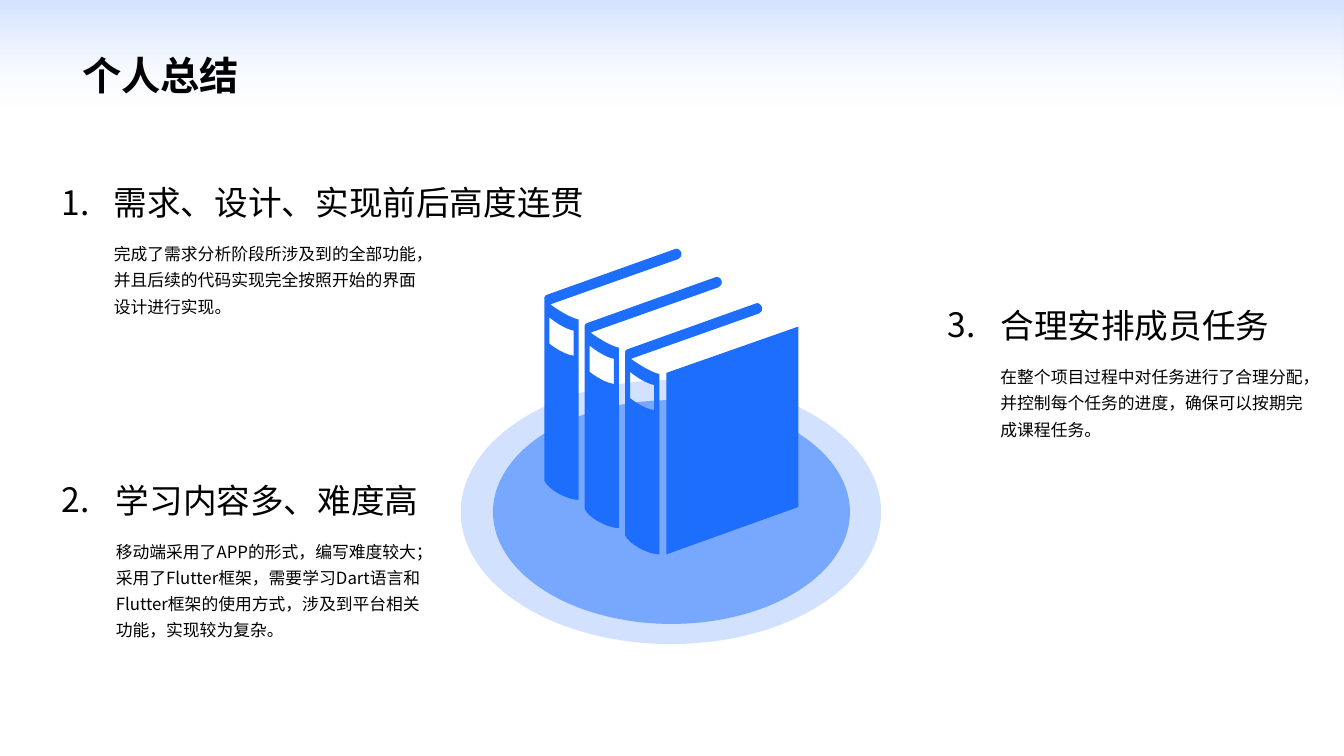
"""Build the personal summary slide with three points around a stack of books."""
import lxml.etree
import pptx
import pptx.dml.color
import pptx.enum.shapes
import pptx.enum.text
import pptx.oxml.ns
import pptx.util

RGB = pptx.dml.color.RGBColor
WHITE = RGB(0xFF, 0xFF, 0xFF)
BLACK = RGB(0x00, 0x00, 0x00)
PALE = RGB(0xD2, 0xE2, 0xFE)
SKY = RGB(0x77, 0xA8, 0xFD)
BLUE = RGB(0x1D, 0x6E, 0xFC)

FONT = "Noto Sans CJK JP"
WIDTH = pptx.util.Inches(13.33)
HEIGHT = pptx.util.Inches(7.5)
UNIT = pptx.util.Inches(0.01)

SHAPE = pptx.enum.shapes.MSO_SHAPE
ANCHOR = pptx.enum.text.MSO_ANCHOR
GROW = pptx.enum.text.MSO_AUTO_SIZE.SHAPE_TO_FIT_TEXT

POINTS = [
    ("1.", 4.58, 7.73, 23.47, "需求、设计、实现前后高度连贯",
     "完成了需求分析阶段所涉及到的全部功能，并且后续的代码实现完全按照开始的界面设计进行实现。"),
    ("2.", 4.58, 7.88, 62.8, "学习内容多、难度高",
     "移动端采用了APP的形式，编写难度较大；采用了Flutter框架，需要学习Dart语言"
     "和Flutter框架的使用方式，涉及到平台相关功能，实现较为复杂。"),
    ("3.", 70.52, 73.7, 39.73, "合理安排成员任务",
     "在整个项目过程中对任务进行了合理分配，并控制每个任务的进度，确保可以按期完成课程任务。"),
]

SPINE = [
    (136, 5), (135, 2, 132, 0, 130, 1), (4, 46), (2, 46, 0, 48, 0, 49),
    (0, 231), (4, 240, 23, 250, 34, 250), (34, 71),
    (28, 70, 15, 63, 6, 56), (133, 11), (135, 10, 137, 7, 136, 5),
]
LABEL = [
    (29, 82), (29, 107), (17, 105, 5, 95, 5, 95), (5, 69),
    (20, 81, 29, 82, 29, 82),
]
COVER = [(121, 124), (121, 304), (252, 257), (252, 78)]
BOOKS = [(0, 0), (40, 28), (80, 54)]


def place(left, top, width, height):
    """Turn shares of the slide, in percent, into lengths."""
    sides = (WIDTH, HEIGHT, WIDTH, HEIGHT)
    return [int(share * side / 100)
            for share, side in zip((left, top, width, height), sides)]


def fade(fill, stops):
    """Fill with a gradient that runs from the bottom to the top."""
    fill.gradient()
    fill.gradient_angle = 90
    for stop, (spot, color) in zip(fill.gradient_stops, stops):
        stop.position = spot
        stop.color.rgb = color


def add_back(slide):
    """Lay the blue band at the top and the white veil over it."""
    fade(slide.background.fill, [(0.85, WHITE), (1, PALE)])
    veil = slide.shapes.add_shape(SHAPE.RECTANGLE, *place(0, 0, 100, 100))
    veil.shadow.inherit = False
    veil.line.fill.background()
    fade(veil.fill, [(0.79, WHITE), (1, WHITE)])
    tag = pptx.oxml.ns.qn("a:srgbClr")
    last = list(veil.fill._xPr.iter(tag))[-1]
    lxml.etree.SubElement(last, pptx.oxml.ns.qn("a:alpha"), val="0")


def paint(shape, color):
    """Give a shape a flat fill with no line or shadow."""
    shape.shadow.inherit = False
    shape.fill.solid()
    shape.fill.fore_color.rgb = color
    shape.line.fill.background()


def add_disc(slide, box, color):
    """Draw one oval of the base."""
    paint(slide.shapes.add_shape(SHAPE.OVAL, *place(*box)), color)


def shift(ring, right, down):
    """Move an outline and split each part into its points."""
    return [[(part[i] + right, part[i + 1] + down) for i in range(0, len(part), 2)]
            for part in ring]


def bend(shape, rings):
    """Join each three lines that stand for a curve into one."""
    lines = iter(list(shape._element.iter(pptx.oxml.ns.qn("a:lnTo"))))
    for part in (part for ring in rings for part in ring[1:]):
        group = [next(lines) for _ in part]
        if len(group) == 1:
            continue
        curve = lxml.etree.Element(pptx.oxml.ns.qn("a:cubicBezTo"))
        group[0].addprevious(curve)
        for line in group:
            curve.append(line[0])
            line.getparent().remove(line)


def add_books(slide):
    """Draw the three books as one outline with open labels."""
    rings = [shift(COVER, 0, 0)]
    rings += [shift(ring, *book) for book in BOOKS for ring in (SPINE, LABEL)]
    pen = slide.shapes.build_freeform(*rings[0][0][0], scale=UNIT)
    for order, ring in enumerate(rings):
        if order:
            pen.move_to(*ring[0][0])
        pen.add_line_segments([spot for part in ring[1:] for spot in part], close=True)
    left, top = place(40.5, 32.8, 0, 0)[:2]
    books = pen.convert_to_shape(left, top)
    bend(books, rings)
    paint(books, BLUE)


def add_text(slide, box, text, size, wrap=True, bold=None, lead=None):
    """Write one paragraph in a box and hand back its frame."""
    frame = slide.shapes.add_textbox(*place(*box)).text_frame
    frame.word_wrap = wrap
    line = frame.paragraphs[0]
    line.text = text
    if lead:
        line.line_spacing = lead
    font = line.font
    font.size = pptx.util.Pt(size)
    font.bold = bold
    font.color.rgb = BLACK
    font.name = FONT
    lxml.etree.SubElement(font._element, pptx.oxml.ns.qn("a:ea"), typeface=FONT)
    return frame


def add_point(slide, mark, edge, left, top, head, body):
    """Write one numbered point with its heading and body."""
    frame = add_text(slide, (edge, top + 0.53, 6.6, 5.33), mark, 24)
    frame.margin_left = frame.margin_right = 0
    frame.margin_top = frame.margin_bottom = 0
    frame.vertical_anchor = ANCHOR.MIDDLE
    frame.auto_size = GROW
    add_text(slide, (left, top + 7.35, 25, 27.2), body, 12, lead=1.3)
    span = max(25.13, 2.5 * len(head) + 2)
    add_text(slide, (left, top, span, 7.33), head, 24, wrap=False)


def main():
    """Build the slide and save it."""
    deck = pptx.Presentation()
    deck.slide_width = WIDTH
    deck.slide_height = HEIGHT
    slide = deck.slides.add_slide(deck.slide_layouts[6])
    add_back(slide)
    add_disc(slide, (34.28, 50.27, 31.28, 34.93), PALE)
    add_disc(slide, (36.68, 52.93, 26.56, 29.6), SKY)
    add_books(slide)
    for point in POINTS:
        add_point(slide, *point)
    title = add_text(slide, (5.4, 6.13, 87.55, 7.6), "个人总结", 28, bold=True)
    title.vertical_anchor = ANCHOR.BOTTOM
    title.auto_size = GROW
    deck.save("out.pptx")


if __name__ == "__main__":
    main()
